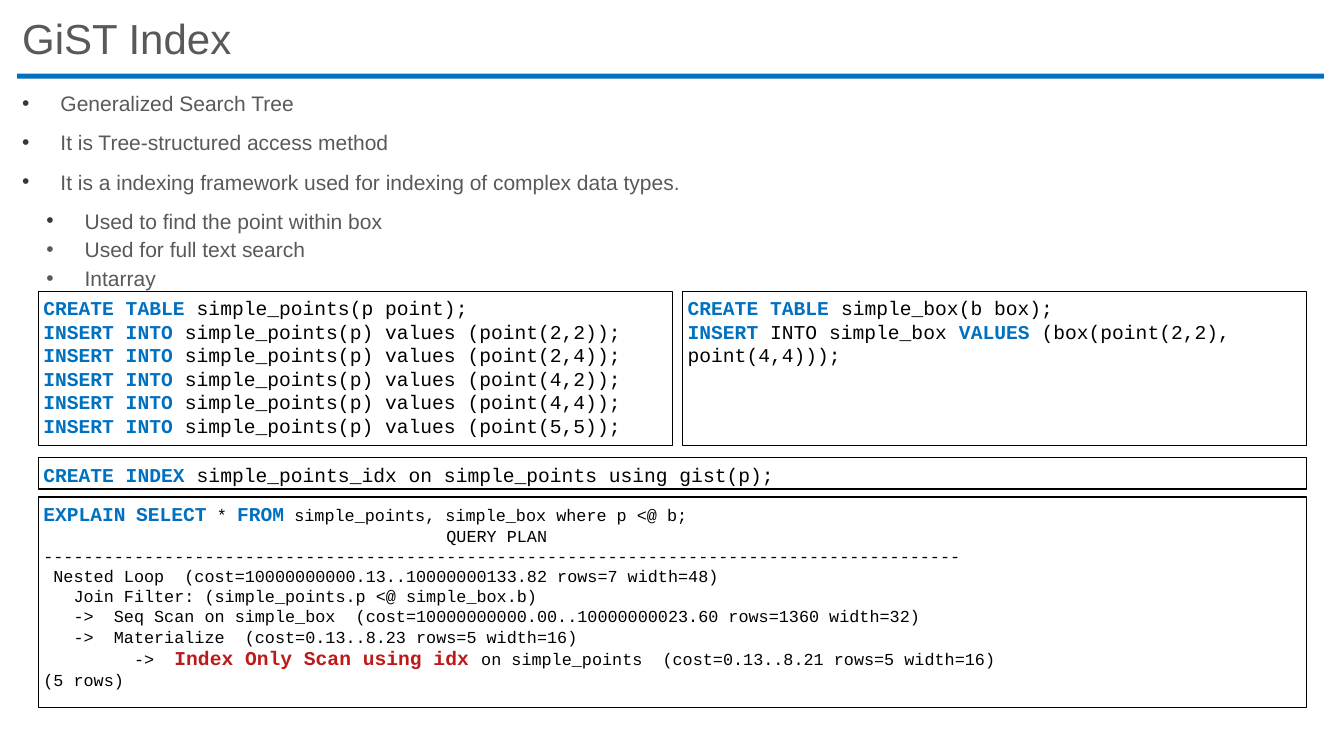
from lxml import etree
from pptx import Presentation
from pptx import util as u
from pptx.dml.color import RGBColor
from pptx.enum import shapes, text
from pptx.oxml.ns import qn

PX = 9144  # 100 px to the inch
BLUE = RGBColor(0x00, 0x70, 0xC0)
GREY = RGBColor(0x59, 0x59, 0x59)
DARK = RGBColor(0x37, 0x37, 0x37)
BLACK = RGBColor(0, 0, 0)
RED = RGBColor(0xBE, 0x18, 0x18)

# Content
TITLE = "GiST Index"
# text, left margin, space before, bullet colour
POINTS = [
    ("Generalized Search Tree", 38, 0, DARK),
    ("It is Tree-structured access method", 38, 10, DARK),
    ("It is a indexing framework used for indexing of complex data types.", 38, 10, DARK),
    ("Used to find the point within box", 62, 10, DARK),
    ("Used for full text search", 62, 2.5, GREY),
    ("Intarray", 62, 2.5, GREY),
]
# Code styles: size, colour, bold
KEY, SQL, PLAN, HOT = (14, BLUE, True), (14, BLACK, False), (12, BLACK, False), (14, RED, True)
PAIRS = ["2,2", "2,4", "4,2", "4,4", "5,5"]

TABLE = [[("CREATE TABLE ", KEY), ("simple_points(p point);", SQL)]] + [
    [("INSERT INTO ", KEY), (f"simple_points(p) values (point({pair}));", SQL)]
    for pair in PAIRS
]
BOX = [
    [("CREATE TABLE ", KEY), ("simple_box(b box);", SQL)],
    [("INSERT", KEY), (" INTO simple_box ", SQL), ("VALUES", KEY),
     (" (box(point(2,2), point(4,4)));", SQL)],
]
INDEX = [[("CREATE INDEX ", KEY),
          ("simple_points_idx on simple_points using gist(p);", SQL)]]
QUERY = [
    [("EXPLAIN", KEY), (" ", PLAN), ("SELECT", KEY), (" * ", PLAN), ("FROM", KEY),
     (" simple_points, simple_box where p <@ b;", PLAN)],
    [("QUERY PLAN".rjust(50), PLAN)],
    [("-" * 91, PLAN)],
    [(" Nested Loop  (cost=10000000000.13..10000000133.82 rows=7 width=48)", PLAN)],
    [("   Join Filter: (simple_points.p <@ simple_box.b)", PLAN)],
    [("   ->  Seq Scan on simple_box  "
      "(cost=10000000000.00..10000000023.60 rows=1360 width=32)", PLAN)],
    [("   ->  Materialize  (cost=0.13..8.23 rows=5 width=16)", PLAN)],
    [("         ->  ", PLAN), ("Index Only Scan using idx ", HOT),
     ("on simple_points  (cost=0.13..8.21 rows=5 width=16)", PLAN)],
    [("(5 rows)", PLAN)],
]
# left, top, width, height, lines
PANELS = [
    (38, 289, 629, 153, TABLE),
    (677, 289, 619, 153, BOX),
    (38, 454, 1258, 31, INDEX),
    (38, 493, 1258, 209, QUERY),
]

prs = Presentation()
prs.slide_width, prs.slide_height = 1333 * PX, 750 * PX
slide = prs.slides.add_slide(prs.slide_layouts[6])


def area(*px):
    return [n * PX for n in px]


def frame(shape, anchor=text.MSO_ANCHOR.TOP):
    tf = shape.text_frame
    tf.word_wrap = True
    tf.vertical_anchor = anchor
    tf.margin_left = tf.margin_right = tf.margin_top = tf.margin_bottom = 5 * PX
    return tf


def line(tf, i):
    para = tf.add_paragraph() if i else tf.paragraphs[0]
    para.alignment = text.PP_ALIGN.LEFT
    return para


def write(para, words, size, color, bold=False, font="Arial"):
    run = para.add_run()
    run.text = words
    run.font.name, run.font.size, run.font.bold = font, u.Pt(size), bold
    run.font.color.rgb = color


def rect(*px):
    shape = slide.shapes.add_shape(shapes.MSO_SHAPE.RECTANGLE, *area(*px))
    shape.shadow.inherit = False
    return shape


def bullet(para, left, color):
    props = para._p.get_or_add_pPr()
    props.set("marL", str(left * PX))
    props.set("indent", str(-38 * PX))
    tint = etree.SubElement(props, qn("a:buClr"))
    etree.SubElement(tint, qn("a:srgbClr"), val=str(color))
    etree.SubElement(props, qn("a:buFont"), typeface="Arial")
    etree.SubElement(props, qn("a:buChar"), char="•")


# Title and rule
bar = rect(17, 73, 1296, 5)
bar.fill.solid()
bar.fill.fore_color.rgb = BLUE
bar.line.fill.background()
head = line(frame(slide.shapes.add_textbox(*area(17, 15, 1296, 52)),
                  text.MSO_ANCHOR.MIDDLE), 0)
head.line_spacing = 0.9
write(head, TITLE, 30, GREY)

# Bullet list
body = frame(slide.shapes.add_textbox(*area(17, 85, 1296, 204)))
for i, (words, left, gap, color) in enumerate(POINTS):
    para = line(body, i)
    bullet(para, left, color)
    if gap:
        para.space_before = u.Pt(gap)
    write(para, words, 15, GREY)

# Code panels
for *place, lines in PANELS:
    panel = rect(*place)
    panel.fill.background()
    panel.line.color.rgb = BLACK
    panel.line.width = u.Pt(1)
    tf = frame(panel)
    for i, runs in enumerate(lines):
        para = line(tf, i)
        for words, style in runs:
            write(para, words, *style, font="Courier New")

prs.save("out.pptx")
